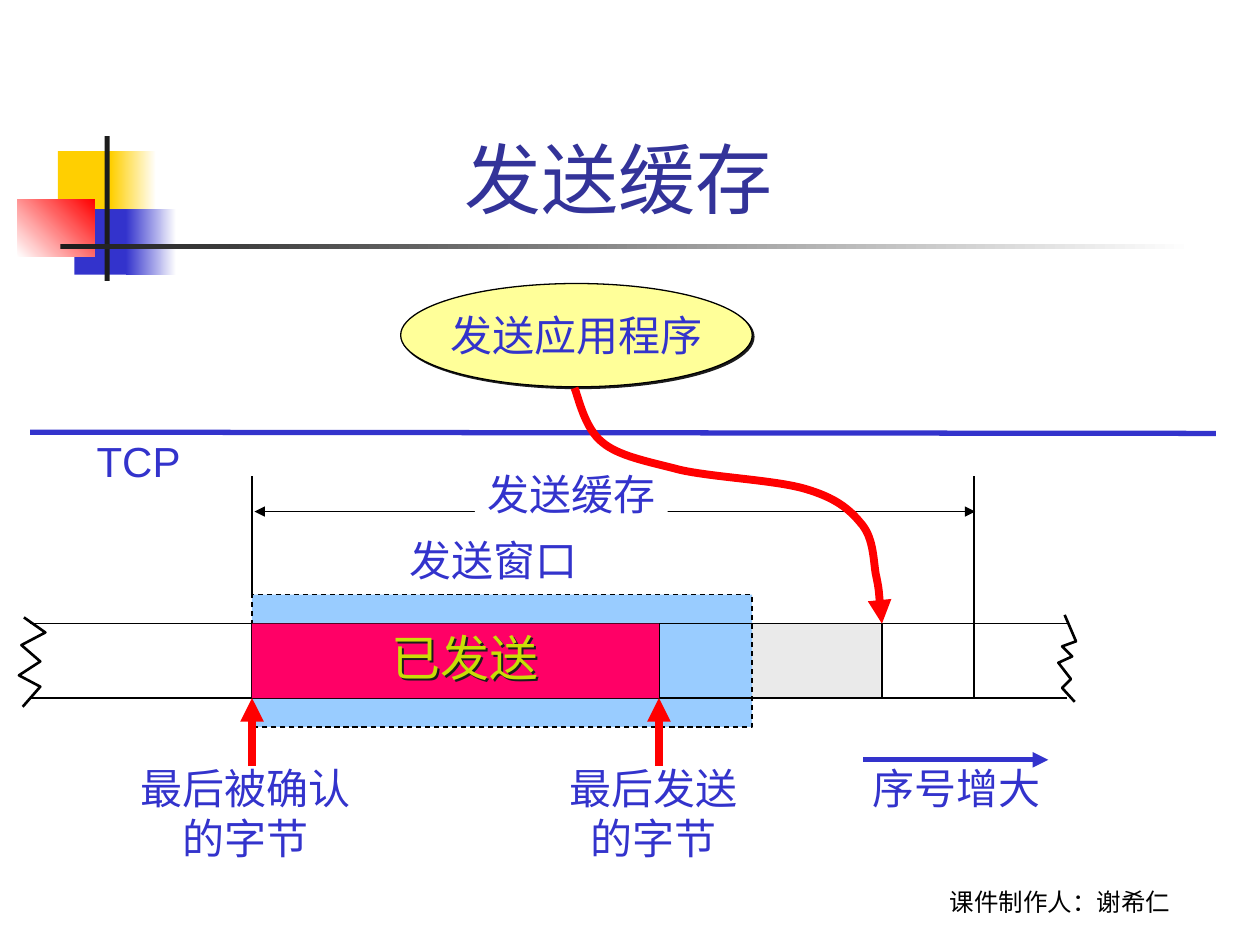
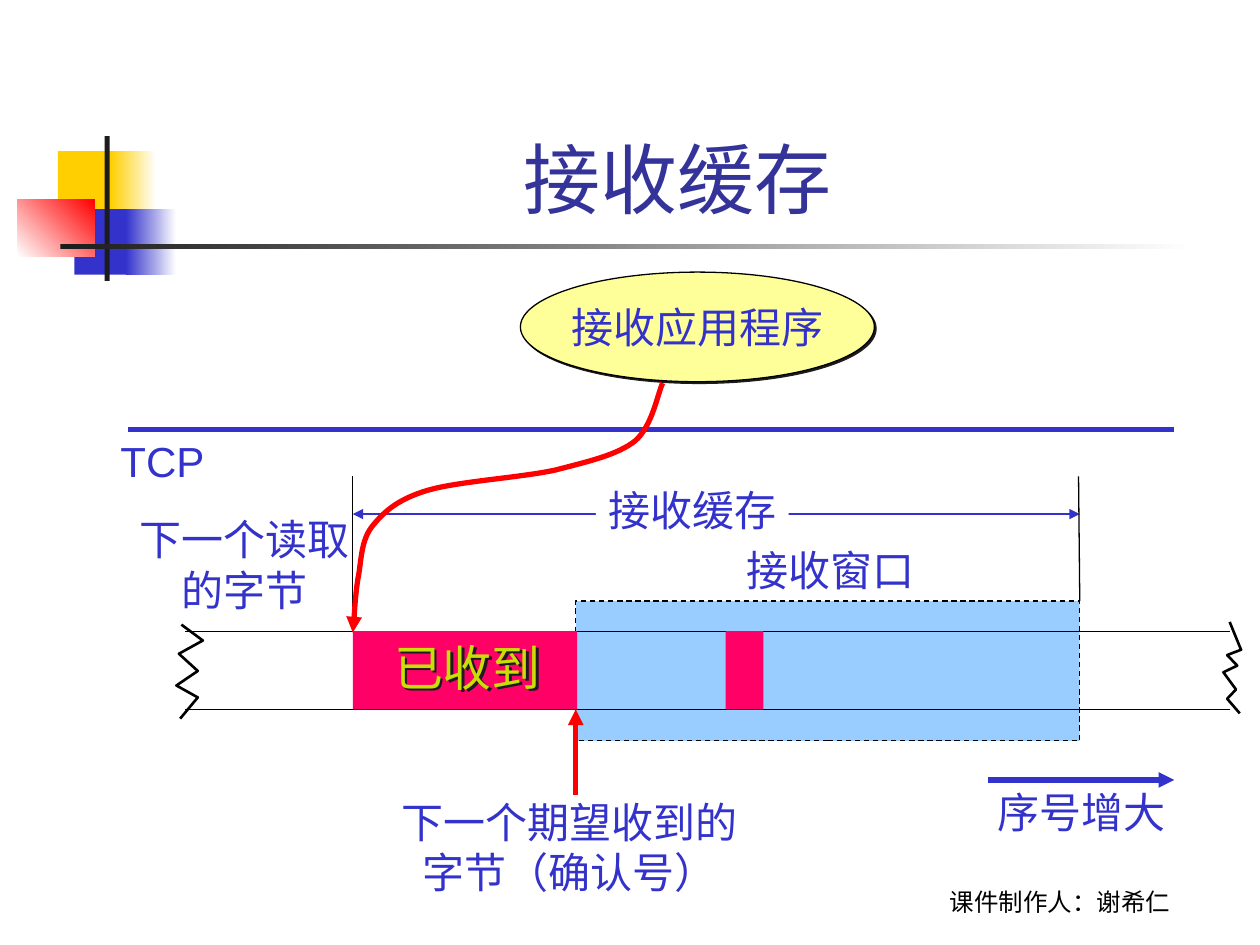
"""Build two slides on the TCP send and receive buffers."""
from lxml.etree import SubElement
from pptx import Presentation
from pptx.dml.color import RGBColor
from pptx.enum.dml import MSO_LINE as Dash
from pptx.enum.shapes import MSO_CONNECTOR as Conn, MSO_SHAPE as Shape
from pptx.enum.text import MSO_ANCHOR as Anchor, MSO_AUTO_SIZE as Fit, PP_ALIGN as Align
from pptx.oxml.ns import qn
from pptx.util import Inches, Pt

BLACK = RGBColor(0x00, 0x00, 0x00)
WHITE = RGBColor(0xFF, 0xFF, 0xFF)
INK = RGBColor(0x1C, 0x1C, 0x1C)
BLUE = RGBColor(0x33, 0x33, 0xCC)
NAVY = RGBColor(0x33, 0x33, 0x99)
GOLD = RGBColor(0xFF, 0xCF, 0x01)
RED = RGBColor(0xFF, 0x00, 0x00)
PINK = RGBColor(0xFF, 0x00, 0x66)
SKY = RGBColor(0x99, 0xCC, 0xFF)
CREAM = RGBColor(0xFF, 0xFF, 0x99)
GRAY = RGBColor(0xEA, 0xEA, 0xEA)
LIME = RGBColor(0xC9, 0xDE, 0x06)

FOOTER = "课件制作人：谢希仁"
DECOR = [
    ((0.46, 1.2, 0.48, 0.52), GOLD, None, 0),
    ((0.88, 1.2, 0.36, 0.52), GOLD, WHITE, 0),
    ((0.59, 1.66, 0.46, 0.52), BLUE, None, 0),
    ((1, 1.66, 0.4, 0.52), BLUE, WHITE, 0),
    ((0.14, 1.58, 0.61, 0.46), WHITE, RED, 45),
    ((0.83, 1.08, 0.04, 1.15), INK, None, 0),
    ((0.48, 1.94, 9, 0.04), INK, WHITE, 0),
]
LEFT = [(0.04, -0.05), (0.21, 0.07), (0.02, 0.17), (0.17, 0.3),
        (0, 0.41), (0.17, 0.5), (0.03, 0.66)]
RIGHT = [(0.05, -0.07), (0.14, 0.14), (0.03, 0.18), (0.11, 0.26),
         (0, 0.31), (0.1, 0.44), (0.03, 0.51), (0.13, 0.62)]

SEND = {
    "title": ("发送缓存 ", 7.44),
    "app": ("发送应用程序", (3.18, 2.25, 2.79, 0.82)),
    "border": (0.24, 3.43, 9.65, 3.44),
    "span": ((2.02, 4.06, 7.74, 4.06), BLACK),
    "spare": [(5.23, 1.76)],
    "window": (2, 4.72, 3.97, 1.05),
    "band": (0.24, 8.47, 4.95, 0.59),
    "ticks": [2, 5.23, 7],
    "full": [(2, 3.23)],
    "done": ("已发送", (3.01, 4.93, 1.36, 0.57)),
    "buffer": ("发送缓存", (3.77, 3.67, 1.53, 0.5)),
    "labels": [
        (["TCP"], (0.67, 3.41, 0.86, 0.5)),
        (["发送窗口"], (3.15, 4.19, 1.53, 0.5)),
        (["最后被确认", "的字节"], (1.02, 6, 1.86, 0.9)),
        (["最后发送", "的字节"], (4.42, 6, 1.53, 0.9)),
        (["序号增大"], (6.83, 6, 1.53, 0.5)),
    ],
    "marks": [(2, 6.08), (5.23, 6.08)],
    "bold": 4.5,
    "walls": [(2, 3.78, 2, 4.72), (7.73, 3.78, 7.73, 5.54)],
    "grow": (6.85, 6.03, 8.32, 6.03),
    "flow": [(4.56, 3.08), (4.59, 3.15), (4.64, 3.4), (4.78, 3.51),
             (4.91, 3.62), (5.13, 3.66), (5.4, 3.73), (5.67, 3.79),
             (6.15, 3.81), (6.39, 3.88), (6.63, 3.95), (6.74, 4.04),
             (6.83, 4.15), (6.93, 4.26), (6.93, 4.42), (6.95, 4.55),
             (6.98, 4.69), (6.99, 4.87), (7, 4.95)],
    "tears": (0.15, 8.4),
}
RECEIVE = {
    "title": ("接收缓存", 8.23),
    "app": ("接收应用程序", (4.13, 2.16, 2.81, 0.87)),
    "border": (1.02, 3.41, 9.32, 3.41),
    "span": ((2.8, 4.08, 8.57, 4.08), BLUE),
    "spare": [],
    "window": (4.57, 4.77, 4, 1.11),
    "band": (1.47, 9.76, 5.01, 0.62),
    "ticks": [],
    "full": [(2.8, 1.78), (5.76, 0.3)],
    "done": ("已收到", (3.03, 5.01, 1.36, 0.57)),
    "buffer": ("接收缓存", (4.73, 3.8, 1.53, 0.5)),
    "labels": [
        (["TCP"], (0.86, 3.41, 0.86, 0.5)),
        (["接收窗口"], (5.83, 4.27, 1.53, 0.5)),
        (["下一个读取", "的字节"], (1.01, 4.03, 1.86, 0.9)),
        (["下一个期望收到的", "字节（确认号）"], (3.09, 6.27, 2.86, 0.9)),
        (["序号增大"], (7.82, 6.19, 1.53, 0.5)),
    ],
    "marks": [(4.57, 6.31)],
    "bold": 3,
    "walls": [(2.8, 3.78, 2.8, 5.01), (8.56, 3.78, 8.57, 4.77)],
    "grow": (7.84, 6.19, 9.32, 6.19),
    "flow": [(5.26, 3.04), (5.22, 3.12), (5.18, 3.38), (5.04, 3.5),
             (4.9, 3.61), (4.68, 3.66), (4.41, 3.73), (4.14, 3.79),
             (3.64, 3.82), (3.4, 3.89), (3.16, 3.96), (3.05, 4.06),
             (2.96, 4.17), (2.86, 4.29), (2.87, 4.46), (2.84, 4.6),
             (2.82, 4.74), (2.81, 4.93), (2.8, 5.02)],
    "tears": (1.4, 9.71),
}


def emu(nums):
    """Turn inches into lengths."""
    return [Inches(n) for n in nums]


def write(frame, lines, size=24, color=BLUE, font="Arial"):
    """Fill a text frame with centred lines."""
    for i, line in enumerate(lines):
        para = frame.add_paragraph() if i else frame.paragraphs[0]
        para.alignment = Align.CENTER
        run = para.add_run()
        run.text = line
        run.font.size = Pt(size)
        run.font.name = font
        run.font.color.rgb = color


def label(slide, lines, box, **style):
    """Add a text box that fits its lines."""
    text = slide.shapes.add_textbox(*emu(box))
    frame = text.text_frame
    frame.word_wrap = False
    frame.auto_size = Fit.SHAPE_TO_FIT_TEXT
    frame.margin_left = frame.margin_right = Inches(0.05)
    write(frame, lines, **style)
    return text


def block(slide, box, fill, edge=None, kind=Shape.RECTANGLE):
    """Add a filled shape, with a thin outline if an edge colour is given."""
    item = slide.shapes.add_shape(kind, *emu(box))
    item.shadow.inherit = False
    item.fill.solid()
    item.fill.fore_color.rgb = fill
    if edge is None:
        item.line.fill.background()
    else:
        stroke(item, edge, 0.75)
    return item


def stroke(item, color, width, *ends):
    """Set a line's colour, width and arrowheads."""
    item.line.color.rgb = color
    item.line.width = Pt(width)
    for end in ends:
        SubElement(item.element.spPr.find(qn("a:ln")), qn(end), type="triangle")


def link(slide, ends, color=BLACK, width=0.75, *heads):
    """Add a straight line."""
    item = slide.shapes.add_connector(Conn.STRAIGHT, *emu(ends))
    stroke(item, color, width, *heads)
    SubElement(item.element.spPr, qn("a:effectLst"))


def trace(slide, points, color, width, *heads):
    """Add an open outline through the points."""
    first, *rest = [emu(p) for p in points]
    pen = slide.shapes.build_freeform(*first)
    pen.add_line_segments(rest, close=False)
    item = pen.convert_to_shape()
    item.shadow.inherit = False
    item.fill.background()
    stroke(item, color, width, *heads)
    return item


def bend(item):
    """Turn each three line segments into one Bézier curve."""
    steps = list(item.element.iter(qn("a:lnTo")))
    for i in range(0, len(steps), 3):
        curve = SubElement(steps[i].getparent(), qn("a:cubicBezTo"))
        for step in steps[i:i + 3]:
            curve.append(step[0])
            step.getparent().remove(step)


def shade(item, reach):
    """Give a shape a sharp dark shadow to the lower right."""
    item.shadow.inherit = False
    effects = item.element.spPr.find(qn("a:effectLst"))
    cast = SubElement(effects, qn("a:outerShdw"), dist=str(Pt(reach)),
                      dir="2700000", algn="ctr", rotWithShape="0")
    SubElement(cast, qn("a:srgbClr"), val=str(INK))


def frame(slide, name, width):
    """Add the shared corner art, title and footer."""
    for box, start, stop, angle in DECOR:
        item = block(slide, box, start)
        if stop is not None:
            item.fill.gradient()
            item.fill.gradient_angle = angle
            for part, color in zip(item.fill.gradient_stops, (start, stop)):
                part.color.rgb = color
    foot = slide.shapes.add_textbox(*emu((6.83, 6.82, 3.17, 0.5))).text_frame
    foot.word_wrap = True
    foot.vertical_anchor = Anchor.BOTTOM
    write(foot, [FOOTER], 14, BLACK, "Lato")
    title = slide.shapes.title
    title.left, title.top, title.width, title.height = emu((1.26, 0.23, width, 1.6))
    title.text_frame.auto_size = Fit.NONE
    title.text_frame.vertical_anchor = Anchor.BOTTOM
    write(title.text_frame, [name], 44, NAVY)


def draw(slide, data):
    """Draw one buffer diagram."""
    frame(slide, *data["title"])
    start, stop, top, high = data["band"]
    base = top + high
    ends, color = data["span"]
    link(slide, ends, color, 0.75, "a:headEnd", "a:tailEnd")
    for x, wide in data["spare"]:
        block(slide, (x, top, wide, high), GRAY)

    text, box = data["app"]
    app = block(slide, box, CREAM, BLACK, Shape.OVAL)
    shade(app, 1.4)
    app.text_frame.word_wrap = False
    app.text_frame.vertical_anchor = Anchor.MIDDLE
    write(app.text_frame, [text])

    link(slide, data["border"], BLUE, 3)
    block(slide, data["window"], SKY, BLACK).line.dash_style = Dash.DASH
    for y in (top, base):
        link(slide, (start, y, stop, y))
    for x in data["ticks"]:
        link(slide, (x, top, x, base))
    for x, wide in data["full"]:
        block(slide, (x, top, wide, high), PINK)

    text, box = data["done"]
    shade(label(slide, [text], box, size=28, color=LIME), 2)

    text, box = data["buffer"]
    name = label(slide, [text], box)
    name.fill.solid()
    name.fill.fore_color.rgb = WHITE
    for lines, box in data["labels"]:
        label(slide, lines, box)

    for x, y in data["marks"]:
        link(slide, (x, y, x, base), RED, data["bold"], "a:tailEnd")
    for wall in data["walls"]:
        link(slide, wall)
    link(slide, data["grow"], BLUE, 3, "a:tailEnd")
    bend(trace(slide, data["flow"], RED, data["bold"], "a:tailEnd"))
    for left, edge in zip(data["tears"], (LEFT, RIGHT)):
        points = [(left + x, top + y * high / 0.59) for x, y in edge]
        trace(slide, points, BLACK, 1.5)


def main():
    """Build and save the deck."""
    deck = Presentation()
    deck.slide_width, deck.slide_height = emu((10, 7.5))
    for data in (SEND, RECEIVE):
        draw(deck.slides.add_slide(deck.slide_layouts[5]), data)
    deck.save("out.pptx")


if __name__ == "__main__":
    main()
